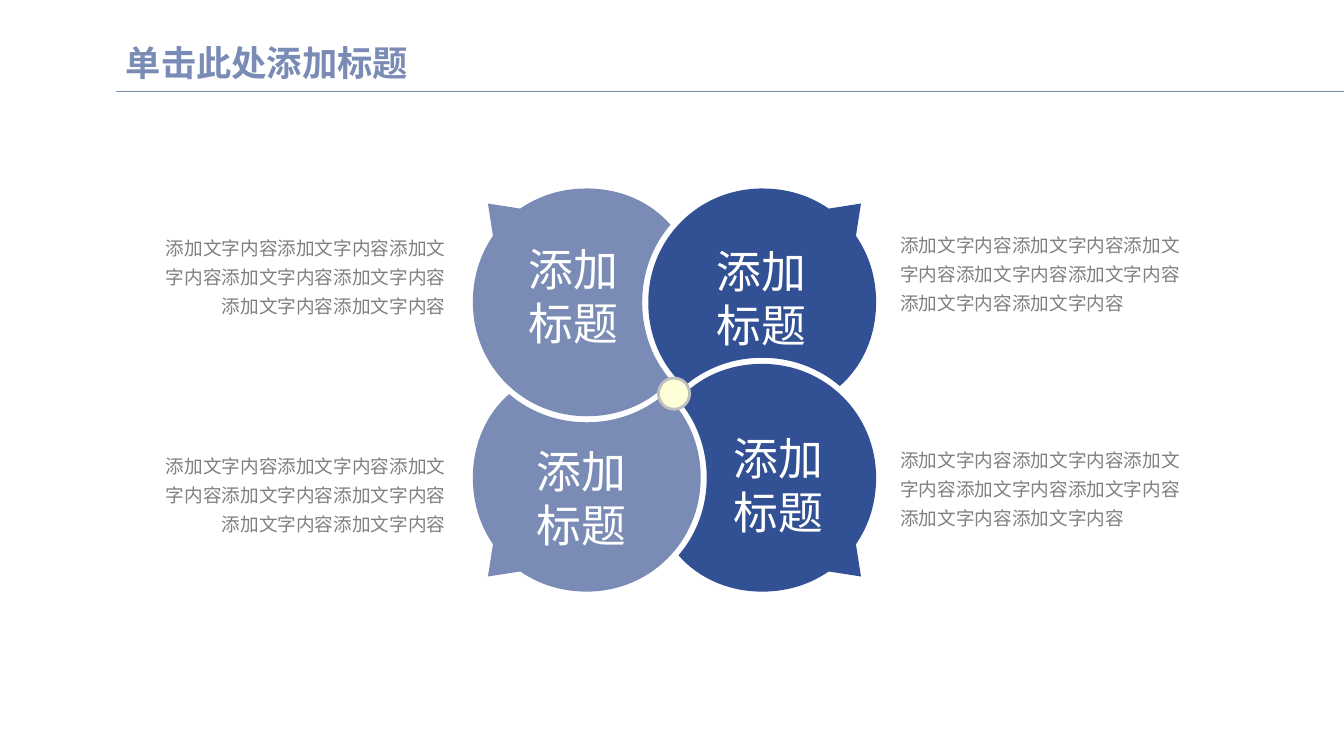
from lxml import etree
from pptx import Presentation
from pptx.dml.color import RGBColor
from pptx.enum.lang import MSO_LANGUAGE_ID as LANG
from pptx.enum.shapes import MSO_CONNECTOR as CONNECTOR, MSO_SHAPE as SHAPE
from pptx.enum.text import MSO_ANCHOR as ANCHOR, MSO_AUTO_SIZE as AUTO, PP_ALIGN as ALIGN
from pptx.oxml.ns import qn
from pptx.util import Inches, Pt

LIGHT_BLUE = RGBColor(0x7A, 0x8C, 0xB6)
DARK_BLUE = RGBColor(0x32, 0x50, 0x94)
GREY = RGBColor(0x80, 0x80, 0x80)
RING_GREY = RGBColor(0xBF, 0xBF, 0xBF)
CREAM = RGBColor(0xFE, 0xFF, 0xD7)
WHITE = RGBColor(0xFF, 0xFF, 0xFF)

WIDTH, HEIGHT = 13.33, 7.5
HUB_X, HUB_Y = 6.69, 3.87
OFFSET = 0.87           # hub to petal centre, on each axis
R = 1.13                # petal radius
BODY = "添加文字内容" * 7
LABEL = "添加标题"

# Top-left petal around its own centre. Each step is a straight line to one
# point, or a curve given by two control points and its end.
PETAL_START = (0, -R)
PETAL_STEPS = [
    [(0.33, -R), (0.63, -1), (0.83, -0.77)],
    [(0.65, -0.56), (0.55, -0.29), (0.55, 0)],
    [(0.55, 0.29), (0.65, 0.56), (0.83, 0.77)],
    [(0.63, 1), (0.33, R), (0, R)],
    [(-0.63, R), (-R, 0.63), (-R, 0)],
    [(-R, -0.25), (-1.06, -0.47), (-0.93, -0.66)],
    [(-0.98, -0.98)],
    [(-0.66, -0.93)],
    [(-0.47, -1.06), (-0.25, -R), PETAL_START],
]


def paint(sp, color):
    sp.shadow.inherit = False
    sp.fill.solid()
    sp.fill.fore_color.rgb = color
    sp.line.fill.background()


def add_text(slide, text, box, size, color, align=ALIGN.LEFT, font="Arial",
             spacing=1.0, bold=False, inset=0, anchor=ANCHOR.TOP, auto=AUTO.SHAPE_TO_FIT_TEXT):
    sp = slide.shapes.add_textbox(*map(Inches, box))
    tf = sp.text_frame
    tf.word_wrap = True
    tf.auto_size = auto
    tf.vertical_anchor = anchor
    tf.margin_left = tf.margin_right = Inches(inset)
    tf.margin_top = tf.margin_bottom = Inches(inset / 2)
    p = tf.paragraphs[0]
    p.text = text
    p.alignment = align
    p.line_spacing = spacing
    f = p.runs[0].font
    f.name, f.size, f.bold = font, Pt(size), bold
    f.color.rgb = color
    f.language_id = LANG.SIMPLIFIED_CHINESE


def add_veil(slide):
    """Cover the background with translucent white."""
    sp = slide.shapes.add_shape(SHAPE.RECTANGLE, 0, 0, Inches(WIDTH), Inches(HEIGHT))
    paint(sp, WHITE)
    color = sp._element.spPr.find(qn("a:solidFill"))[0]
    etree.SubElement(color, qn("a:alpha"), val="88000")


def petal_point(point, quarter_turns):
    """Turn a petal point clockwise around the hub and place it on the slide."""
    x, y = point[0] - OFFSET, point[1] - OFFSET
    for _ in range(quarter_turns):
        x, y = -y, x
    return Inches(HUB_X + x), Inches(HUB_Y + y)


def add_petal(slide, quarter_turns, color):
    start = petal_point(PETAL_START, quarter_turns)
    steps = [[petal_point(pt, quarter_turns) for pt in step] for step in PETAL_STEPS]
    builder = slide.shapes.build_freeform(*start)
    builder.add_line_segments([step[-1] for step in steps], close=True)
    sp = builder.convert_to_shape()
    paint(sp, color)
    lines = list(sp._element.iter(qn("a:lnTo")))
    for line, step in zip(lines, steps):
        if len(step) == 3:
            curve = etree.Element(qn("a:cubicBezTo"))
            for x, y in step:
                etree.SubElement(curve, qn("a:pt"), x=str(x - sp.left), y=str(y - sp.top))
            line.getparent().replace(line, curve)


def add_hub(slide, size=0.31):
    sp = slide.shapes.add_shape(SHAPE.OVAL, Inches(6.53), Inches(3.75), Inches(size), Inches(size))
    paint(sp, CREAM)
    sp.line.color.rgb = RING_GREY
    sp.line.width = Pt(2)


def add_title(slide, text):
    line = slide.shapes.add_connector(CONNECTOR.STRAIGHT, Inches(1.15), Inches(0.91),
                                      Inches(WIDTH), Inches(0.91))
    line.line.color.rgb = LIGHT_BLUE
    line.line.width = Pt(0.5)
    etree.SubElement(line._element.spPr, qn("a:effectLst"))
    add_text(slide, text, (1.15, 0.39, 11.5, 0.52), 25.2, LIGHT_BLUE, font="Montserrat",
             spacing=0.9, bold=True, inset=0.1, anchor=ANCHOR.MIDDLE, auto=AUTO.NONE)


def main():
    prs = Presentation()
    prs.slide_width, prs.slide_height = Inches(WIDTH), Inches(HEIGHT)
    slide = prs.slides.add_slide(prs.slide_layouts[6])

    add_veil(slide)
    add_title(slide, "单击此处添加标题")
    for left, top, align in ((1.52, 2.28, ALIGN.RIGHT), (8.93, 2.25, ALIGN.LEFT),
                             (8.93, 4.39, ALIGN.LEFT), (1.52, 4.45, ALIGN.RIGHT)):
        add_text(slide, BODY, (left, top, 2.9, 0.87), 13.3, GREY, align, spacing=1.3)
    for turns, color in enumerate((LIGHT_BLUE, DARK_BLUE, DARK_BLUE, LIGHT_BLUE)):
        add_petal(slide, turns, color)
    add_hub(slide)
    for left, top, width in ((5.04, 2.4, 1.29), (6.96, 2.42, 1.19),
                             (5.1, 4.4, 1.33), (7.11, 4.27, 1.23)):
        add_text(slide, LABEL, (left, top, width, 1.08), 32, WHITE, ALIGN.CENTER)
    prs.save("out.pptx")


if __name__ == "__main__":
    main()
